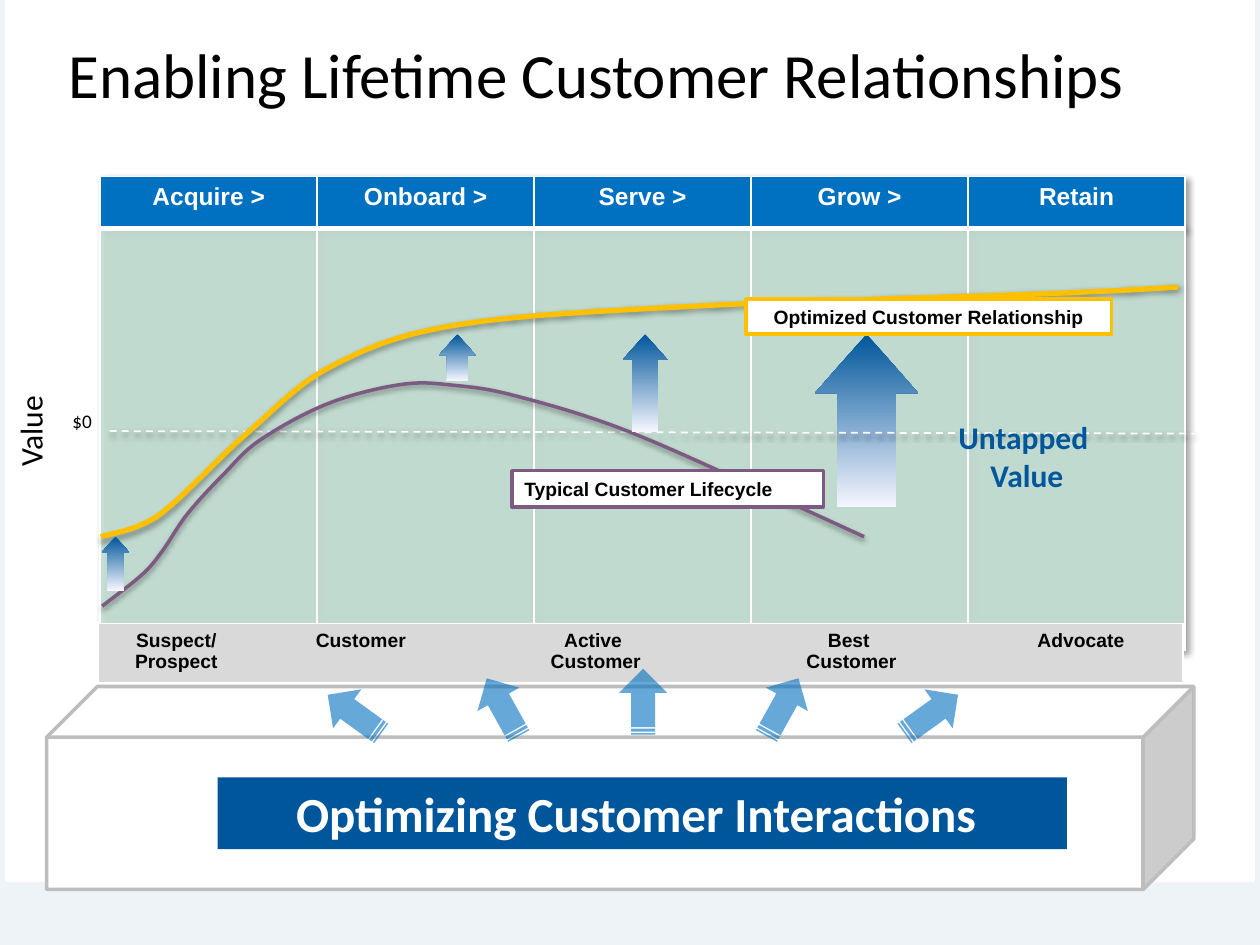
from lxml.etree import SubElement
from pptx import Presentation
from pptx.dml.color import RGBColor
from pptx.enum.dml import MSO_LINE
from pptx.enum.shapes import MSO_CONNECTOR, MSO_SHAPE
from pptx.enum.text import MSO_ANCHOR, PP_ALIGN
from pptx.oxml import parse_xml
from pptx.oxml.ns import nsdecls, qn
from pptx.util import Cm, Pt

STAGES = ["Acquire >", "Onboard >", "Serve >", "Grow >", "Retain"]
CUSTOMERS = ["Suspect/\nProspect", "Customer", "Active \nCustomer", "Best \nCustomer", "Advocate"]
CUSTOMER_WIDTHS = [3.15, 4.29, 5.18, 5.13, 4.12]
TYPICAL = [(2.06, 12.22), (2.87, 11.58), (3.28, 11.1), (3.78, 10.36), (4.52, 9.55),
           (5.26, 8.86), (6.63, 8.13), (8.1, 7.75), (9.17, 7.77), (10.39, 7.98),
           (12.57, 8.66), (15.42, 9.91), (17.42, 10.82)]
OPTIMIZED = [(2.03, 10.82), (2.82, 10.59), (3.48, 10.16), (5.03, 8.69), (6.71, 7.37),
             (9.22, 6.55), (14.05, 6.17), (21.13, 5.92), (23.75, 5.79)]
LIFTS = [(2.05, 10.82, 0.56, 1.09), (8.85, 6.74, 0.74, 0.94), (12.55, 6.74, 0.91, 1.96)]
SUPPORTS = [(6.48, 13.91, 215.8), (9.47, 13.77, 241), (12.3, 13.66, 270),
            (15.11, 13.77, 299), (18.11, 13.91, 324.2)]
NAVY, BLUE, GOLD, PURPLE, PALE = "00569B", "0070C0", "FFC000", "7C5A82", "EDF3F6"


def color(value):
    return RGBColor.from_string(value)


def cm_box(*lengths):
    return [Cm(length) for length in lengths]


def fill_solid(fill, value, alpha=None):
    fill.solid()
    fill.fore_color.rgb = color(value)
    if alpha:
        srgb = fill._xPr.find(qn("a:solidFill"))[0]
        SubElement(srgb, qn("a:alpha"), val=str(alpha * 1000))


def shadow_effect(blur, distance, angle):
    return parse_xml(
        f'<a:effectLst {nsdecls("a")}><a:outerShdw blurRad="{Pt(blur)}" dist="{Pt(distance)}" '
        f'dir="{angle * 60000}" algn="t" rotWithShape="0"><a:srgbClr val="000000">'
        '<a:alpha val="38000"/></a:srgbClr></a:outerShdw></a:effectLst>')


def write(frame, text, size, font, value, bold=False, align=PP_ALIGN.LEFT):
    frame.text = text
    for paragraph in frame.paragraphs:
        paragraph.alignment = align
        paragraph.font.size = Pt(size)
        paragraph.font.name = font
        paragraph.font.bold = bold
        paragraph.font.color.rgb = color(value)


def add_block(slide, kind, box, fill=None, line=None, alpha=None):
    block = slide.shapes.add_shape(kind, *cm_box(*box))
    block.shadow.inherit = False
    if fill:
        fill_solid(block.fill, fill, alpha)
    if line:
        block.line.color.rgb = color(line)
        block.line.width = Pt(2)
    else:
        block.line.fill.background()
    return block


def add_label(slide, box, text, size, value="000000", bold=False, align=PP_ALIGN.LEFT,
              vertical=False, rotation=0):
    label = slide.shapes.add_textbox(*cm_box(*box))
    label.rotation = rotation
    label.text_frame.word_wrap = False
    if vertical:
        label.text_frame._txBody.bodyPr.set("vert", "vert270")
    write(label.text_frame, text, size, "Calibri", value, bold, align)


def add_lift(slide, box):
    lift = add_block(slide, MSO_SHAPE.UP_ARROW, box)
    lift.adjustments[0] = 0.57
    lift.adjustments[1] = 0.57
    lift.fill.gradient()
    lift.fill.gradient_angle = 270
    for stop, value, position in zip(lift.fill.gradient_stops, (NAVY, "F5F6FF"), (0, 1)):
        stop.color.rgb = color(value)
        stop.position = position


def add_outline(slide, value, width, *strokes):
    builder = slide.shapes.build_freeform(*cm_box(*strokes[0][0]))
    for index, stroke in enumerate(strokes):
        if index:
            builder.move_to(*cm_box(*stroke[0]))
        builder.add_line_segments([cm_box(*point) for point in stroke[1:]], close=False)
    outline = builder.convert_to_shape()
    outline.shadow.inherit = False
    outline.fill.background()
    outline.line.color.rgb = color(value)
    outline.line.width = Pt(width)
    return outline


def add_curve(slide, knots, value, width):
    curve = add_outline(slide, value, width, knots)
    properties = curve._element.spPr
    properties.remove(properties.find(qn("a:effectLst")))
    properties.append(shadow_effect(3.1, 1.6, 90))
    points = [(Cm(x) - curve.left, Cm(y) - curve.top) for x, y in knots]
    padded = [points[0], *points, points[-1]]
    segments = list(properties.iter(qn("a:lnTo")))
    for segment, before, start, end, after in zip(
            segments, padded, padded[1:], padded[2:], padded[3:]):
        leave = [s + (e - b) / 6 for b, s, e in zip(before, start, end)]
        arrive = [e - (a - s) / 6 for s, e, a in zip(start, end, after)]
        bend = SubElement(segment.getparent(), qn("a:cubicBezTo"))
        for x, y in (leave, arrive, end):
            SubElement(bend, qn("a:pt"), x=str(round(x)), y=str(round(y)))
        segment.getparent().replace(segment, bend)


def set_borders(cell, left, right, top, bottom):
    properties = cell._tc.get_or_add_tcPr()
    for index, (side, width) in enumerate(zip("LRTB", (left, right, top, bottom))):
        paint = '<a:solidFill><a:srgbClr val="FFFFFF"/></a:solidFill>' if width else "<a:noFill/>"
        properties.insert(index, parse_xml(
            f'<a:ln{side} {nsdecls("a")} w="{Pt(width)}">{paint}</a:ln{side}>'))


def add_grid(slide, box, widths, heights):
    grid = slide.shapes.add_table(len(heights), len(widths), *cm_box(*box)).table
    grid.first_row = grid.horz_banding = False
    for column, width in zip(grid.columns, widths):
        column.width = Cm(width)
    for row, height in zip(grid.rows, heights):
        row.height = Cm(height)
    return grid


def add_stages(slide):
    grid = add_grid(slide, (2.02, 3.56, 21.87, 10.19), [21.87 / 5] * 5, [1.04, 8.5])
    grid._tbl.tblPr.insert(0, shadow_effect(4, 3, 45))
    for index, stage in enumerate(STAGES):
        header, field = grid.cell(0, index), grid.cell(1, index)
        write(header.text_frame, stage, 14, "Arial", "FFFFFF", True, PP_ALIGN.CENTER)
        fill_solid(header.fill, BLUE)
        set_borders(header, 1, 1, 1, 3)
        fill_solid(field.fill, "C5E1D5", 88)
        set_borders(field, 1, 1, 3, 1)


def add_customers(slide):
    grid = add_grid(slide, (1.98, 12.57, 21.87, 1.19), CUSTOMER_WIDTHS, [1.19])
    last = len(CUSTOMERS) - 1
    for index, customer in enumerate(CUSTOMERS):
        cell = grid.cell(0, index)
        write(cell.text_frame, customer, 11, "Arial", "000000", True, PP_ALIGN.CENTER)
        fill_solid(cell.fill, "D9D9D9")
        set_borders(cell, int(index == 0), int(index == last), 1, 1)


def add_callout(slide, box, text, line, align):
    callout = add_block(slide, MSO_SHAPE.RECTANGLE, box, "FFFFFF", line)
    write(callout.text_frame, text, 11, "Arial", "000000", True, align)


def add_title(slide):
    title = slide.shapes.title
    title.left, title.top, title.width, title.height = cm_box(1.38, 0.71, 22.86, 3.18)
    frame = title.text_frame
    frame.margin_left = frame.margin_right = frame.margin_top = frame.margin_bottom = 0
    frame.vertical_anchor = MSO_ANCHOR.TOP
    write(frame, "Enabling Lifetime Customer Relationships", 36, "Calibri", "000000")


def add_backdrop(deck, slide):
    footer = add_block(slide, MSO_SHAPE.RECTANGLE, (0, 17.78, 25.4, 1.27), PALE)
    edges = add_outline(slide, PALE, 6, [(25.4, 19.05), (25.4, 0)], [(0, 0), (0, 19.05)])
    for index, part in enumerate((footer, edges), start=2):
        deck.slide_master.shapes._spTree.insert(index, part._element)


def main():
    deck = Presentation()
    deck.slide_width, deck.slide_height = Cm(25.4), Cm(19.05)
    slide = deck.slides.add_slide(deck.slide_layouts[5])
    add_backdrop(deck, slide)
    add_title(slide)
    add_stages(slide)
    add_customers(slide)
    add_lift(slide, (16.43, 6.74, 2.08, 3.48))
    add_label(slide, (0.1, 7.81, 1.27, 1.85), "Value", 18, vertical=True)
    zero = slide.shapes.add_connector(MSO_CONNECTOR.STRAIGHT, *cm_box(2.21, 8.69, 24.08, 8.74))
    zero.line.color.rgb = color("FFFFFF")
    zero.line.width = Pt(1)
    zero.line.dash_style = MSO_LINE.DASH
    zero._element.spPr.append(shadow_effect(3.1, 1.6, 90))
    add_label(slide, (1.06, 8.28, 0.99, 0.69), "$0", 11, vertical=True, rotation=90)
    add_curve(slide, TYPICAL, PURPLE, 2)
    add_curve(slide, OPTIMIZED, GOLD, 3)
    add_callout(slide, (15.04, 6.03, 7.37, 0.71), "Optimized Customer Relationship", GOLD,
                PP_ALIGN.CENTER)
    add_callout(slide, (10.32, 9.49, 6.28, 0.73), "Typical Customer Lifecycle", PURPLE,
                PP_ALIGN.LEFT)
    add_label(slide, (18.89, 8.31, 3.48, 1.8), "Untapped\n Value", 18, NAVY, True, PP_ALIGN.CENTER)
    for box in LIFTS:
        add_lift(slide, box)
    add_block(slide, MSO_SHAPE.CUBE, (0.94, 13.84, 23.13, 4.09), "FFFFFF", "BDBDBD")
    banner = add_block(slide, MSO_SHAPE.RECTANGLE, (4.39, 15.67, 17.12, 1.45), NAVY)
    banner.text_frame.margin_left = Cm(1.58)
    write(banner.text_frame, "Optimizing Customer Interactions", 28, "Calibri", "FFFFFF", True)
    for left, top, angle in SUPPORTS:
        support = add_block(slide, MSO_SHAPE.STRIPED_RIGHT_ARROW, (left, top, 1.33, 0.97),
                            BLUE, alpha=60)
        support.rotation = angle
    deck.save("out.pptx")


if __name__ == "__main__":
    main()
